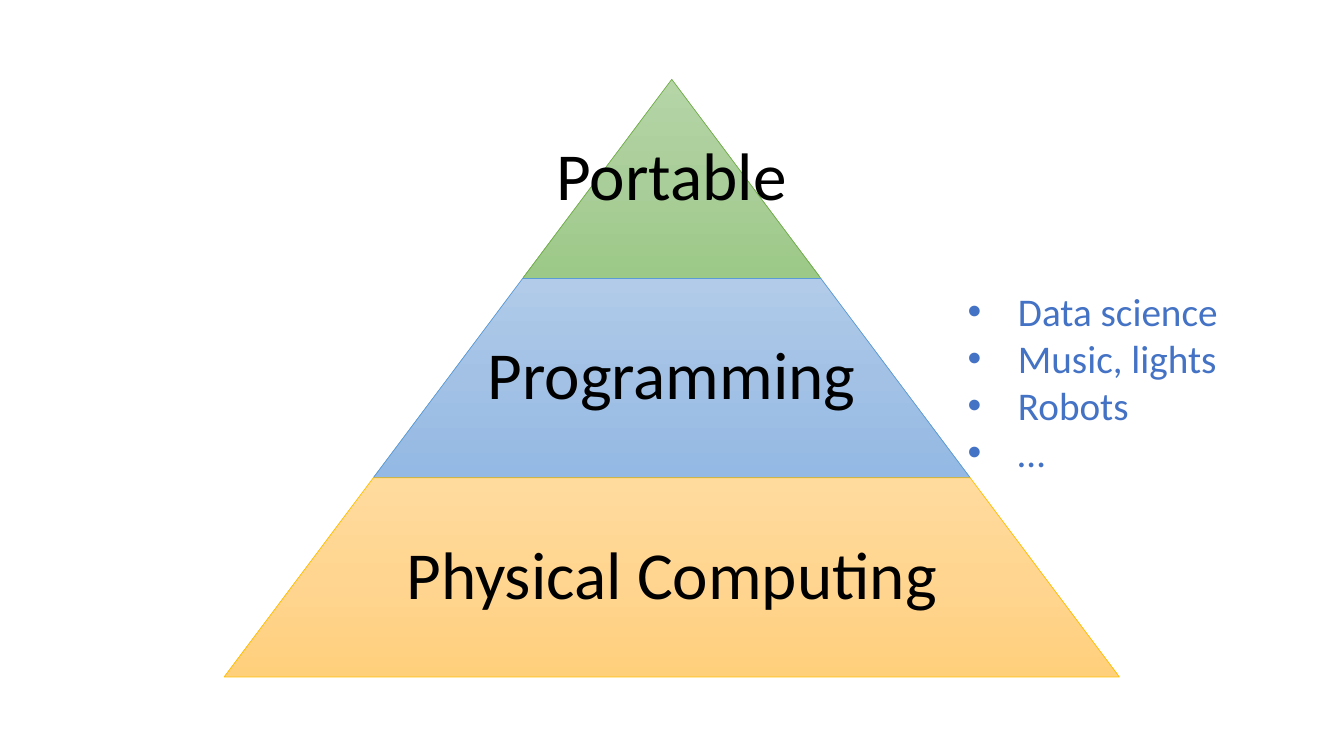
from copy import deepcopy
from dataclasses import dataclass

from lxml.etree import SubElement
from pptx import Presentation
from pptx.dml.color import RGBColor
from pptx.enum.text import MSO_ANCHOR, MSO_AUTO_SIZE, PP_ALIGN
from pptx.oxml.ns import qn
from pptx.util import Cm, Pt


@dataclass(frozen=True)
class Theme:
    font: str = "Calibri"
    tier_size: int = 48
    list_size: int = 28
    tier_text: str = "000000"
    list_text: str = "4472C4"
    green: tuple = ("B5D5A7", "AACE9A", "9CC987", "70AD47")
    blue: tuple = ("B1CBE9", "A3C1E5", "93B9E4", "5B9BD5")
    gold: tuple = ("FFDB9E", "FFD590", "FFD07C", "FFC000")


class PyramidSlide:
    apex_x = 16.93
    apex_y = 2.0
    tier_height = 5.02
    half_width_step = 3.76
    padding = 0.18

    def __init__(self, deck, theme):
        self.theme = theme
        self.page = deck.slides.add_slide(deck.slide_layouts[1])
        title = self.page.shapes.title.element
        title.getparent().remove(title)

    def style(self, paragraph, size, color):
        paragraph.font.name = self.theme.font
        paragraph.font.size = Pt(size)
        paragraph.font.color.rgb = RGBColor.from_string(color)

    def gradient(self, shape, colors):
        shape.fill.gradient()
        shape.fill.gradient_angle = 270
        stop_list = shape.element.spPr.find(".//" + qn("a:gsLst"))
        stop_list.insert(1, deepcopy(stop_list[0]))
        for stop, position, color in zip(shape.fill.gradient_stops, (0, 0.5, 1), colors):
            stop.position = position
            stop.color.rgb = RGBColor.from_string(color)

    def tier(self, index, label, colors):
        top = self.apex_y + index * self.tier_height
        bottom = top + self.tier_height
        upper = index * self.half_width_step
        lower = upper + self.half_width_step
        corners = [
            (self.apex_x - upper, top),
            (self.apex_x + upper, top),
            (self.apex_x + lower, bottom),
            (self.apex_x - lower, bottom),
        ]
        points = [(Cm(x), Cm(y)) for x, y in corners]
        builder = self.page.shapes.build_freeform(*points[0])
        builder.add_line_segments(points[1:], close=True)
        shape = builder.convert_to_shape()
        shape.shadow.inherit = False
        *fill_colors, line_color = colors
        self.gradient(shape, fill_colors)
        shape.line.color.rgb = RGBColor.from_string(line_color)
        shape.line.width = Pt(0.5)

        frame = shape.text_frame
        frame.word_wrap = True
        frame.vertical_anchor = MSO_ANCHOR.MIDDLE
        side = self.padding + (0.35 * lower if index else 0)
        frame.margin_left = frame.margin_right = Cm(side)
        frame.margin_top = frame.margin_bottom = Cm(self.padding)
        paragraph = frame.paragraphs[0]
        paragraph.text = label
        paragraph.alignment = PP_ALIGN.CENTER
        paragraph.line_spacing = 0.9
        self.style(paragraph, self.theme.tier_size, self.theme.tier_text)

    def bullets(self, items, left, top, width, height):
        box = self.page.placeholders[1]
        box.left, box.top, box.width, box.height = map(Cm, (left, top, width, height))
        frame = box.text_frame
        frame.word_wrap = False
        frame.auto_size = MSO_AUTO_SIZE.NONE
        frame.vertical_anchor = MSO_ANCHOR.TOP
        frame.text = "\n".join(items)
        for paragraph in frame.paragraphs:
            paragraph.space_before = Pt(0)
            properties = paragraph._p.get_or_add_pPr()
            properties.set("marL", str(Cm(1.27)))
            properties.set("indent", str(Cm(-1.27)))
            SubElement(properties, qn("a:buFont"), typeface="Arial")
            SubElement(properties, qn("a:buChar"), char="•")
            self.style(paragraph, self.theme.list_size, self.theme.list_text)


def main():
    deck = Presentation()
    deck.slide_width = Cm(33.87)
    deck.slide_height = Cm(19.05)
    theme = Theme()
    slide = PyramidSlide(deck, theme)
    tiers = [
        ("Portable", theme.green),
        ("Programming", theme.blue),
        ("Physical Computing", theme.gold),
    ]
    for index, (label, colors) in enumerate(tiers):
        slide.tier(index, label, colors)
    slide.bullets(["Data science", "Music, lights", "Robots", "…"], 24.13, 7.11, 6.88, 7.44)
    deck.save("out.pptx")


if __name__ == "__main__":
    main()
